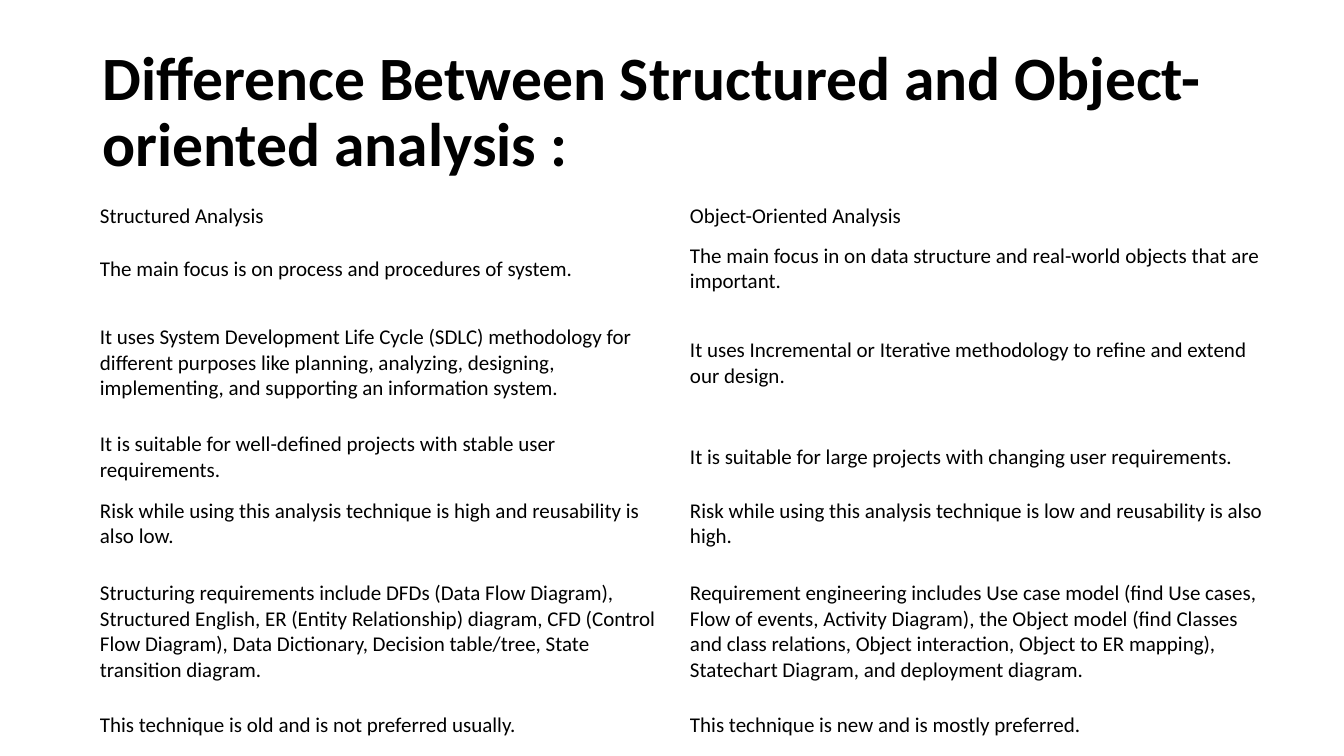
from dataclasses import dataclass

from pptx import Presentation
from pptx.dml.color import RGBColor as Rgb
from pptx.enum.text import MSO_ANCHOR as Anchor, MSO_AUTO_SIZE as Fit, PP_ALIGN as Align
from pptx.util import Pt


@dataclass(frozen=True)
class Theme:
    face: str = "Calibri"
    ink: Rgb = Rgb(0, 0, 0)
    paper: Rgb = Rgb(255, 255, 255)
    head: int = 44
    body: int = 15


class Deck:
    """Holds the theme and the current slide."""

    def __init__(self, theme, wide, high):
        self.theme = theme
        self.file = Presentation()
        self.file.slide_width, self.file.slide_height = Pt(wide), Pt(high)
        self.slide = self.file.slides.add_slide(self.file.slide_layouts[5])

    def style(self, para, size, bold=False):
        para.alignment = Align.LEFT
        font = para.font
        font.name, font.size, font.bold = self.theme.face, Pt(size), bold
        font.color.rgb = self.theme.ink

    def title(self, text, left, top, wide, high):
        shape = self.slide.shapes.title
        shape.left, shape.top, shape.width, shape.height = map(Pt, (left, top, wide, high))
        frame = shape.text_frame
        frame.text = text
        frame.word_wrap = True
        frame.auto_size = Fit.NONE
        frame.vertical_anchor = Anchor.MIDDLE
        para = frame.paragraphs[0]
        para.line_spacing = 0.9
        self.style(para, self.theme.head, bold=True)

    def table(self, rows, highs, left, top, wide):
        frame = self.slide.shapes.add_table(
            len(rows), len(rows[0]), Pt(left), Pt(top), Pt(wide), Pt(sum(highs)))
        grid = frame.table
        grid.first_row = grid.horz_banding = False
        for row, high, texts in zip(grid.rows, highs, rows):
            row.height = Pt(high)
            for cell, text in zip(row.cells, texts):
                self.cell(cell, text)

    def cell(self, cell, text):
        cell.text = text
        cell.fill.solid()
        cell.fill.fore_color.rgb = self.theme.paper
        cell.vertical_anchor = Anchor.MIDDLE
        cell.margin_left = cell.margin_right = Pt(5.4)
        cell.margin_top = cell.margin_bottom = Pt(2.7)
        self.style(cell.text_frame.paragraphs[0], self.theme.body)

    def save(self):
        self.file.save("out.pptx")


# Structured against object-oriented, one pair a row
PAIRS = [
    ("Structured Analysis", "Object-Oriented Analysis"),
    ("The main focus is on process and procedures of system.",
     "The main focus in on data structure and real-world objects that are important."),
    ("It uses System Development Life Cycle (SDLC) methodology for different purposes "
     "like planning, analyzing, designing, implementing, and supporting an information system.",
     "It uses Incremental or Iterative methodology to refine and extend our design."),
    ("It is suitable for well-defined projects with stable user requirements.",
     "It is suitable for large projects with changing user requirements."),
    ("Risk while using this analysis technique is high and reusability is also low.",
     "Risk while using this analysis technique is low and reusability is also high."),
    ("Structuring requirements include DFDs (Data Flow Diagram), Structured English, "
     "ER (Entity Relationship) diagram, CFD (Control Flow Diagram), Data Dictionary, "
     "Decision table/tree, State transition diagram.",
     "Requirement engineering includes Use case model (find Use cases, Flow of events, "
     "Activity Diagram), the Object model (find Classes and class relations, Object "
     "interaction, Object to ER mapping), Statechart Diagram, and deployment diagram."),
    ("This technique is old and is not preferred usually.",
     "This technique is new and is mostly preferred."),
]
HIGHS = [27, 47.5, 87, 47.5, 47.5, 107, 27]


def main():
    deck = Deck(Theme(), 960, 540)
    # Heading
    deck.title("Difference Between Structured and Object-oriented analysis :",
               66, 28.75, 828, 104.4)
    # Comparison table
    deck.table(PAIRS, HIGHS, 66, 141.4, 843)
    deck.save()


if __name__ == "__main__":
    main()
